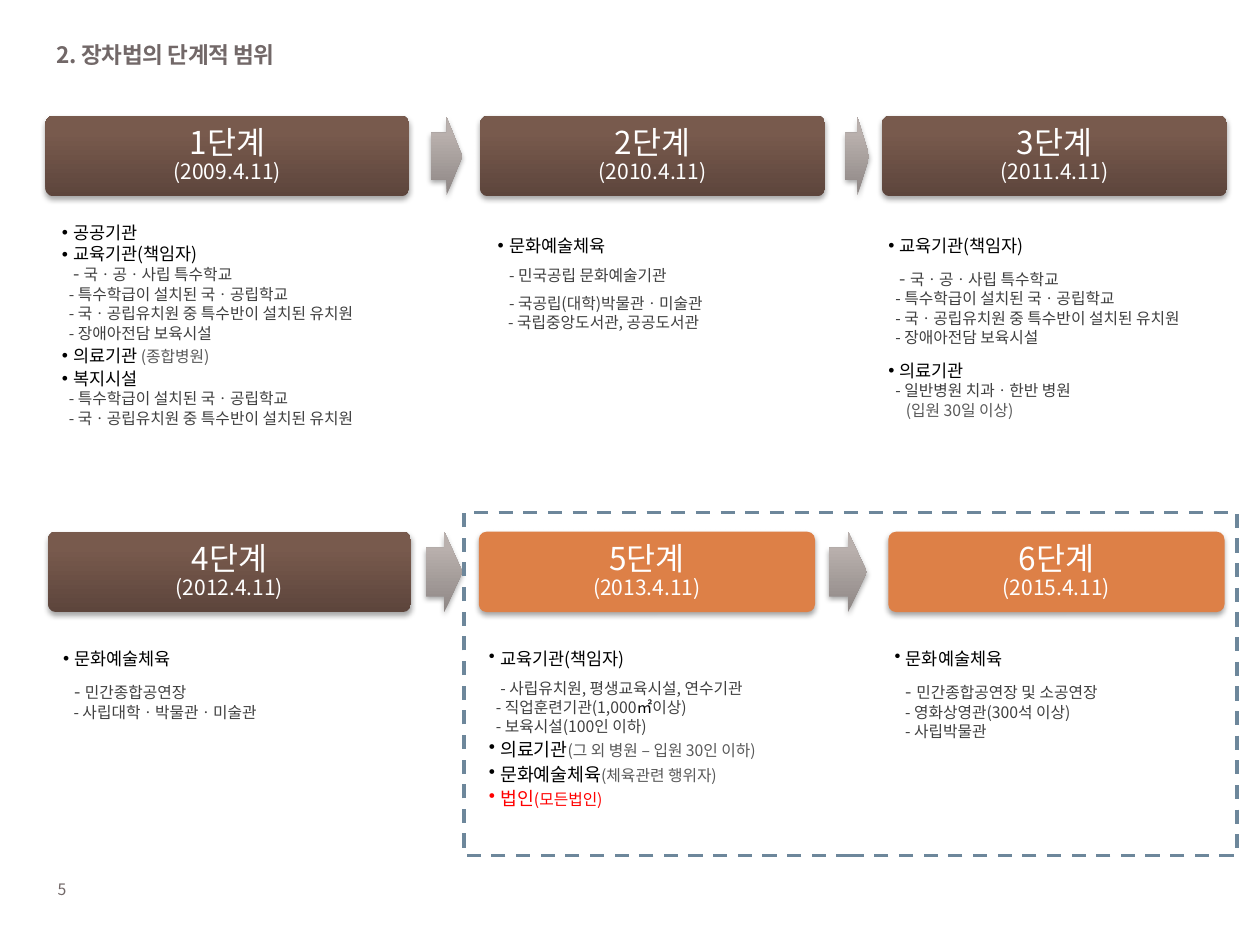
import copy

import pptx
import pptx.dml.color
import pptx.enum.dml
import pptx.enum.shapes
import pptx.enum.text
import pptx.oxml
import pptx.oxml.ns
import pptx.util

Pt = pptx.util.Pt
SHAPE = pptx.enum.shapes.MSO_SHAPE
ALIGN = pptx.enum.text.PP_ALIGN
ANCHOR = pptx.enum.text.MSO_ANCHOR
FONT = "Noto Sans CJK KR"
HEX = {
    "white": "FFFFFF", "black": "000000", "dark": "404040", "mid": "595959",
    "grey": "726868", "red": "FF0000", "orange": "DD8047", "blue": "6D879B",
    "brown": ("5D453C", "785A4D"), "arrow": ("8E8785", "B9B0AD"),
}
# Text styles: size and colour
LOOK = {
    "head": (10, "black"), "big": (10.5, "black"), "item": (9, "dark"),
    "dash": (10.5, "dark"), "note": (9, "mid"), "unit": (9, "black"),
    "alert": (10.5, "red"), "hint": (9, "red"),
    "step": (18, "white"), "date": (12, "white"),
    "title": (12.9, "grey"), "page": (9, "grey"),
}

# Each step: number, date, left, width, fill
TOP = [(1, "2009.4.11", 25.9, 208, "brown"), (2, "2010.4.11", 274.3, 197.3, "brown"),
       (3, "2011.4.11", 504, 197.3, "brown")]
LOW = [(4, "2012.4.11", 27.4, 207.4, "brown"), (5, "2013.4.11", 273.6, 192.2, "orange"),
       (6, "2015.4.11", 507.6, 192.2, "orange")]
ARROWS = [(246.2, 67, 18, 44.6), (483.1, 67, 13.7, 44.6),
          (243.4, 303.8, 20.9, 46), (473.8, 303.8, 21.6, 46)]


def head(space, *runs):
    return True, 6.5, space, runs


def item(text, left=4):
    return False, left, 0.9, [("item", text)]


SCHOOL = [item("- 특수학급이 설치된 국ㆍ공립학교"),
          item("- 국ㆍ공립유치원 중 특수반이 설치된 유치원")]
CARE = item("- 장애아전담 보육시설")
SPECIAL = [("head", "교육기관(책임자)\n"), ("dash", "- "), ("item", "국ㆍ공ㆍ사립 특수학교")]

# Each list: box and paragraphs
LISTS = [
    ((29.5, 122.4, 216.7, 157.7), [
        head(0.9, ("head", "공공기관")), head(0.9, *SPECIAL), *SCHOOL, CARE,
        head(1, ("head", "의료기관"), ("item", " "), ("note", "(종합병원)")),
        head(1, ("head", "복지시설")), *SCHOOL]),
    ((278.6, 122.4, 193, 157.7), [
        head(1.5, ("head", "문화예술체육\n"), ("item", "- 민국공립 문화예술기관\n"),
             ("item", "- 국공립(대학)박물관ㆍ미술관")),
        item("- 국립중앙도서관, 공공도서관", 6)]),
    ((501.8, 122.4, 193, 157.7), [
        head(1.5, *SPECIAL), *SCHOOL, CARE, head(1.5, ("head", "의료기관")),
        item("- 일반병원 치과ㆍ한반 병원"),
        (False, 10, 0.9, [("note", "(입원 30일 이상)")])]),
    ((30.2, 358.6, 208.8, 133.9), [
        head(1.5, ("head", "문화예술체육\n"), ("dash", "- "), ("item", "민간종합공연장")),
        item("- 사립대학ㆍ박물관ㆍ미술관", 6)]),
    ((273.6, 358.6, 193, 133.9), [
        head(1.5, ("head", "교육기관(책임자)\n"),
             ("item", "- 사립유치원, 평생교육시설, 연수기관")),
        (False, 4, 0.9, [("item", "- 직업훈련기관(1,000"), ("unit", "㎡"), ("item", "이상)")]),
        item("- 보육시설(100인 이하)"),
        head(1, ("big", "의료기관"), ("note", "(그 외 병원 – 입원 30인 이하)")),
        head(1, ("big", "문화예술체육"), ("note", "(체육관련 행위자)")),
        head(1, ("alert", "법인"), ("hint", "(모든법인)"))]),
    ((505.4, 358.6, 193, 133.9), [
        head(1.5, ("head", "문화예술체육\n"), ("dash", "- "),
             ("item", "민간종합공연장 및 소공연장")),
        item("- 영화상영관(300석 이상)", 6), item("- 사립박물관", 6)]),
]


def rgb(code):
    return pptx.dml.color.RGBColor.from_string(code)


def node(tag, **attrs):
    """Make an element in the drawing namespace."""
    made = pptx.oxml.parse_xml(f"<a:{tag} {pptx.oxml.ns.nsdecls('a')}/>")
    for key, val in attrs.items():
        made.set(key, str(val))
    return made


def place(shape, box):
    shape.left, shape.top, shape.width, shape.height = map(Pt, box)


def setup(shape, inset, anchor=ANCHOR.TOP):
    """Fix the frame settings and give back its first paragraph."""
    frame = shape.text_frame
    frame.word_wrap = True
    frame.auto_size = pptx.enum.text.MSO_AUTO_SIZE.NONE
    frame.vertical_anchor = anchor
    frame.margin_left = frame.margin_right = Pt(inset)
    frame.margin_top = frame.margin_bottom = Pt(inset)
    return frame.paragraphs[0]


def write(para, runs, space=1, after=0, align=ALIGN.LEFT, bold=False):
    """Fill a paragraph with styled runs; a closing newline breaks the line."""
    para.alignment = align
    para.line_spacing = space
    para.space_before, para.space_after = Pt(0), Pt(after)
    para.font.name = FONT
    para.font.bold = bold
    para.font._rPr.append(node("ea", typeface=FONT))
    for look, text in runs:
        size, tint = LOOK[look]
        run = para.add_run()
        run.text = text.rstrip("\n")
        run.font.size = Pt(size)
        run.font.bold = bold
        run.font.color.rgb = rgb(HEX[tint])
        if text.endswith("\n"):
            para.add_line_break()
            para._p[-1].append(copy.deepcopy(run.font._rPr))


def indent(para, left, hang, bullet=False):
    props = para._p.get_or_add_pPr()
    props.set("marL", str(Pt(left)))
    props.set("indent", str(-Pt(hang)))
    props.append(node("buChar", char="•") if bullet else node("buNone"))


def shade(shape):
    """Add a soft shadow below."""
    shape.shadow.inherit = False
    cast = node("outerShdw", blurRad=Pt(3.1), dist=Pt(1.8), dir=5400000, rotWithShape=0)
    tint = node("srgbClr", val=HEX["black"])
    tint.append(node("alpha", val=35000))
    cast.append(tint)
    shape._element.spPr.find(pptx.oxml.ns.qn("a:effectLst")).append(cast)


def block(slide, kind, box, tint):
    shape = slide.shapes.add_shape(kind, *map(Pt, box))
    shape.line.fill.background()
    shade(shape)
    if isinstance(HEX[tint], str):
        shape.fill.solid()
        shape.fill.fore_color.rgb = rgb(HEX[tint])
    else:
        shape.fill.gradient()
        shape.fill.gradient_angle = 90
        for stop, code, spot in zip(shape.fill.gradient_stops, HEX[tint], (0, 0.8)):
            stop.color.rgb = rgb(code)
            stop.position = spot
    return shape


def stage(slide, top, num, date, left, width, tint):
    shape = block(slide, SHAPE.ROUNDED_RECTANGLE, (left, top, width, 46), tint)
    shape.adjustments[0] = 0.1
    para = setup(shape, 5, ANCHOR.MIDDLE)
    write(para, [("step", f"{num}단계\n"), ("date", f"({date})")], 0.9, 0, ALIGN.CENTER)


def arrow(slide, box):
    shape = block(slide, SHAPE.RIGHT_ARROW, box, "arrow")
    shape.adjustments[0], shape.adjustments[1] = 0.6, 0.5


def listing(shape, box, rows):
    place(shape, box)
    para = setup(shape, 5.8)
    for pos, (bullet, left, space, runs) in enumerate(rows):
        if pos:
            para = shape.text_frame.add_paragraph()
        indent(para, left, left if bullet else 0, bullet)
        write(para, runs, space, 1.3)


def title(shape):
    place(shape, (25.2, 15.1, 260.6, 28.1))
    para = setup(shape, 3.6)
    shape.text_frame.margin_left = Pt(7.2)
    indent(para, 18, 18)
    write(para, [("title", "2. 장차법의 단계적 범위")], 1.3, bold=True)
    para.runs[0].font._rPr.set("spc", "-20")


def frame(slide):
    """Draw the dashed border round the last two steps."""
    shape = slide.shapes.add_shape(SHAPE.RECTANGLE, *map(Pt, (265, 293, 442, 195.8)))
    shape.shadow.inherit = False
    shape.fill.background()
    shape.line.color.rgb = rgb(HEX["blue"])
    shape.line.width = Pt(2)
    shape.line.dash_style = pptx.enum.dml.MSO_LINE.DASH


def number(slide):
    shape = slide.shapes.add_textbox(*map(Pt, (25.9, 499, 37.4, 18)))
    para = setup(shape, 3.6)
    shape.text_frame.margin_left = Pt(7.2)
    write(para, [("page", "5")])


def main():
    deck = pptx.Presentation()
    deck.slide_width, deck.slide_height = Pt(720), Pt(540)
    slide = deck.slides.add_slide(deck.slide_layouts.get_by_name("Comparison"))
    title(slide.shapes.title)
    number(slide)
    bodies = list(slide.placeholders)[1:]
    while len(bodies) < len(LISTS):
        bodies.append(slide.shapes.add_textbox(0, 0, 0, 0))
    for shape, (box, rows) in zip(bodies, LISTS):
        listing(shape, box, rows)
    for top, steps in ((66.2, TOP), (303.8, LOW)):
        for step in steps:
            stage(slide, top, *step)
    for box in ARROWS:
        arrow(slide, box)
    frame(slide)
    deck.save("out.pptx")


if __name__ == "__main__":
    main()
